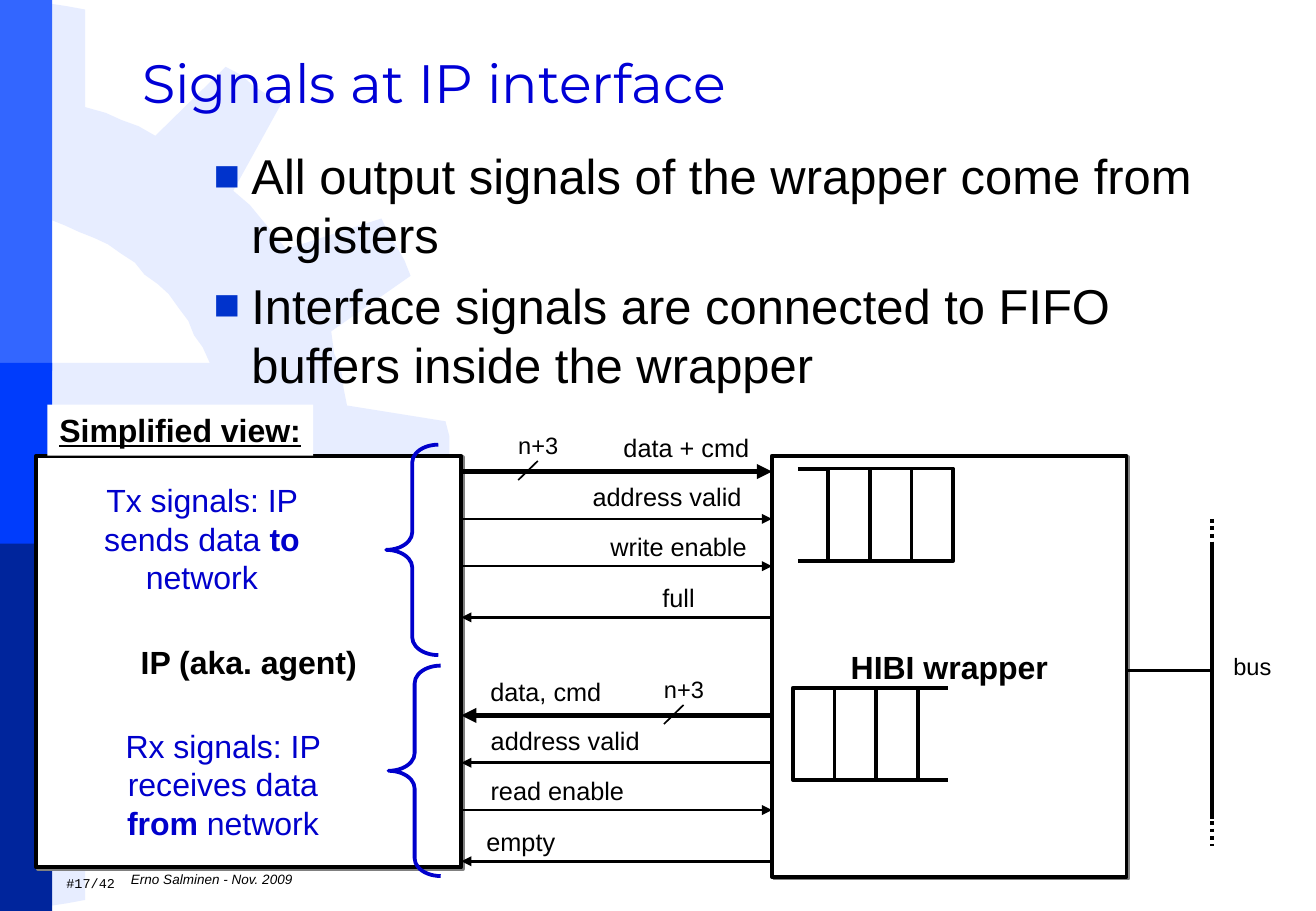
"""Builds the slide on the signals between an IP block and its bus wrapper."""
from lxml import etree
from pptx import Presentation
from pptx.dml.color import RGBColor
from pptx.enum import dml, shapes, text
from pptx.oxml import ns
from pptx.util import Cm, Pt

BLACK, WHITE, BLUE = "000000", "FFFFFF", "0000CC"
GEAR_HALF = [
    (9.4, 9.47), (9.4, 9.12), (9.32, 8.81), (7.26, 8.48), (7.19, 8.13), (7.14, 7.75),
    (6.99, 7.39), (6.93, 6.93), (8.59, 5.77), (8.46, 5.44), (8.31, 5.18), (8.13, 4.88),
    (7.98, 4.57), (5.99, 5.21), (5.72, 4.88), (5.46, 4.57), (5.23, 4.29), (4.88, 3.99),
    (5.89, 2.16), (5.56, 1.96), (5.28, 1.78), (5.05, 1.57), (4.72, 1.4), (3.25, 2.84),
    (2.9, 2.64), (2.54, 2.51), (2.21, 2.36), (1.78, 2.24), (1.78, 0.2), (1.4, 0.13),
    (1.07, 0.08), (0.74, 0.03), (0.36, 0), (0.36, 4.47), (0.71, 4.57), (1.07, 4.6),
    (1.37, 4.72), (1.65, 4.85), (1.98, 4.98), (2.26, 5.11), (2.54, 5.31), (2.82, 5.49),
    (3.02, 5.74), (3.3, 5.94), (3.53, 6.15), (3.73, 6.43), (3.94, 6.71), (4.06, 7.01),
    (4.24, 7.26), (4.39, 7.59), (0, 7.59),
]
SIGNAL_ROWS = [(0, 0.94), (0.99, 0.91), (1.98, 0.86), (3.05, 0.86)]
TX_SIGNALS = [("data + cmd", 2.95, 3.52, True), ("address valid", 2.29, 4.03, True),
              ("write enable", 2.67, 3.75, True), ("full", 3.76, 1.57, False)]
RX_SIGNALS = [("data, cmd", 0.16, 3.22, False), ("address valid", 0.16, 4.03, False),
              ("read enable", 0.16, 3.7, True), ("empty", 0.08, 2.33, False)]


def rgb(value):
    """Turns a hex string into a colour."""
    return RGBColor.from_string(value)


def sub(parent, tag, **attributes):
    """Adds a DrawingML child element."""
    return etree.SubElement(parent, ns.qn(tag), attributes)


def write(frame, *paragraphs, size=15, color=BLACK, font="Arial", bold=False, italic=False,
          underline=False, align=text.PP_ALIGN.CENTER, anchor=text.MSO_ANCHOR.TOP,
          wrap=False, gap=0, bullet=None):
    """Fills a text frame; words between asterisks become bold."""
    frame.word_wrap = wrap
    frame.vertical_anchor = anchor
    for index, content in enumerate(paragraphs):
        paragraph = frame.add_paragraph() if index else frame.paragraphs[0]
        paragraph.alignment = align
        if index and gap:
            paragraph.space_before = Pt(gap)
        if bullet:
            properties = paragraph._p.get_or_add_pPr()
            properties.set("marL", str(Cm(0.79)))
            properties.set("indent", str(-Cm(0.79)))
            sub(sub(properties, "a:buClr"), "a:srgbClr", val="0033CC")
            sub(properties, "a:buSzPct", val="90000")
            sub(properties, "a:buFont", typeface=font)
            sub(properties, "a:buChar", char=bullet)
        for order, part in enumerate(content.split("*")):
            run = paragraph.add_run()
            run.text = part
            run.font.name, run.font.size = font, Pt(size)
            run.font.bold = bold or order % 2 == 1
            run.font.italic, run.font.underline = italic, underline
            run.font.color.rgb = rgb(color)


def label(slide, box, *paragraphs, wrap=False, **style):
    """Adds a text box, which grows with its text unless it wraps."""
    frame = slide.shapes.add_textbox(*map(Cm, box)).text_frame
    write(frame, *paragraphs, wrap=wrap, **style)
    if not wrap:
        frame.auto_size = text.MSO_AUTO_SIZE.SHAPE_TO_FIT_TEXT


def paint(shape, fill=None, line=None, width=2.25):
    """Sets fill and outline and removes the shadow."""
    shape.shadow.inherit = False
    if fill:
        shape.fill.solid()
        shape.fill.fore_color.rgb = rgb(fill)
    else:
        shape.fill.background()
    if line:
        shape.line.color.rgb = rgb(line)
        shape.line.width = Pt(width)
    else:
        shape.line.fill.background()
    return shape


def rectangle(slide, box, fill=WHITE, line=None):
    """Adds a rectangle."""
    return paint(slide.shapes.add_shape(shapes.MSO_SHAPE.RECTANGLE, *map(Cm, box)), fill, line)


def wire(slide, start, end, width=2.25, arrow=False, dash=None):
    """Adds a straight line, with an arrowhead at its end if asked for."""
    line = slide.shapes.add_connector(shapes.MSO_CONNECTOR.STRAIGHT, *map(Cm, (*start, *end)))
    line.line.color.rgb = rgb(BLACK)
    line.line.width = Pt(width)
    if dash:
        line.line.dash_style = dash
    properties = line._element.spPr
    if arrow:
        sub(properties.find(ns.qn("a:ln")), "a:tailEnd", type="triangle")
    sub(properties, "a:effectLst")


def backdrop(slide, height):
    """Draws the gear and the blue side bar."""
    mirrored = [(x, height - y) for x, y in reversed(GEAR_HALF)]
    outline = [(Cm(x), Cm(y)) for x, y in GEAR_HALF + mirrored]
    gear = slide.shapes.build_freeform(*outline[0])
    gear.add_line_segments(outline[1:])
    paint(gear.convert_to_shape(), "E7EDFF")
    for top, bar_height, shade in ((0, 7.75, "3366FF"), (11.33, 7.72, "00259C"),
                                   (7.59, 3.78, "003CFC")):
        rectangle(slide, (0, top, 1.09, bar_height), shade)


def heading(slide, box, content):
    """Places the title above the backdrop."""
    title = slide.shapes.title
    slide.shapes.element.append(title.element)
    title.left, title.top, title.width, title.height = map(Cm, box)
    write(title.text_frame, content, size=32, color="0000D6", font="Montserrat", wrap=True,
          align=text.PP_ALIGN.LEFT, anchor=text.MSO_ANCHOR.MIDDLE)


def block(slide, box, name):
    """Draws a named block with a small grey shadow."""
    body = rectangle(slide, box, line=BLACK)
    effects = body._element.spPr.find(ns.qn("a:effectLst"))
    shadow = sub(effects, "a:outerShdw", dist=str(Pt(1.4)), dir="2700000")
    sub(shadow, "a:srgbClr", val="808080")
    write(body.text_frame, name, size=19, bold=True, anchor=text.MSO_ANCHOR.MIDDLE)


def signal_group(slide, box, signals, slash):
    """Draws four labelled signal arrows, the first one a wide bus."""
    left, top, width = box
    for row, ((offset, lift), (name, indent, name_width, outward)) in enumerate(
            zip(SIGNAL_ROWS, signals)):
        y = top + offset
        ends = [(left, y), (left + width, y)]
        start, end = ends if outward else reversed(ends)
        wire(slide, start, end, 1.5 if row else 3, arrow=True)
        label(slide, (left + indent, y - lift, name_width, 0.89), name)
    x = left + slash
    wire(slide, (x + 0.41, top - 0.22), (x, top + 0.18), 1)
    label(slide, (x - 0.25, top - 0.97, 1.35, 0.86), "n+3", size=14,
          align=text.PP_ALIGN.LEFT)


def direction(slide, box, brace_left, brace_top, content):
    """Explains one group of signals beside its brace."""
    brace = paint(slide.shapes.add_shape(
        shapes.MSO_SHAPE.LEFT_BRACE, Cm(brace_left), Cm(brace_top), Cm(1.09), Cm(4.4)), line=BLUE)
    brace.adjustments[0] = 0.34
    label(slide, box, content, size=19, color=BLUE, wrap=True)


def fifo(slide, left, top, rails_first):
    """Draws a three-cell buffer with two open rails on one side."""
    cell, height, rail = 0.87, 1.93, 0.64
    cells_left = left + rail if rails_first else left
    rail_left = left if rails_first else left + 3 * cell
    for index in range(3):
        rectangle(slide, (cells_left + index * cell, top, cell, height), line=BLACK)
    for y in (top, top + height):
        wire(slide, (rail_left, y), (rail_left + rail, y))


def bus(slide, left, top):
    """Draws the bus and its link to the wrapper."""
    x = left + 1.78
    wire(slide, (x, top - 3.17), (x, top + 3.68), dash=dml.MSO_LINE.ROUND_DOT)
    wire(slide, (left, top), (x, top))
    wire(slide, (x, top - 2.69), (x, top + 3.1))
    label(slide, (x + 0.2, top - 0.51, 1.3, 0.86), "bus", size=14, align=text.PP_ALIGN.LEFT)


def footer(slide, top):
    """Writes the page number and the author line."""
    label(slide, (0.85, top + 0.08, 2.1, 0.66), "#17/42", size=8, font="Courier New",
          anchor=text.MSO_ANCHOR.MIDDLE)
    label(slide, (2.49, top, 23.85, 0.66), "Erno Salminen - Nov. 2009", size=8, italic=True,
          wrap=True, align=text.PP_ALIGN.LEFT, anchor=text.MSO_ANCHOR.MIDDLE)


def main():
    """Builds and saves the slide."""
    deck = Presentation()
    deck.slide_width, deck.slide_height = Cm(27.53), Cm(19.05)
    slide = deck.slides.add_slide(deck.slide_layouts[5])
    backdrop(slide, 19.02)
    heading(slide, (2.72, 0.91, 24.05, 1.6), "Signals at IP interface")
    label(slide, (4.22, 2.92, 22.1, 5.54),
          "All output signals of the wrapper come from registers",
          "Interface signals are connected to FIFO buffers inside the wrapper",
          size=29, wrap=True, align=text.PP_ALIGN.LEFT, gap=7.3, bullet="■")
    block(slide, (0.76, 9.53, 8.89, 8.61), "IP (aka. agent)")
    block(slide, (16.15, 9.53, 7.42, 8.81), "HIBI wrapper")
    signal_group(slide, (9.65, 9.86, 6.5), TX_SIGNALS, 1.19)
    signal_group(slide, (9.65, 14.96, 6.5), RX_SIGNALS, 4.24)
    caption = rectangle(slide, (0.99, 8.46, 5.56, 1.07))
    write(caption.text_frame, "Simplified view:", size=19, bold=True, underline=True)
    direction(slide, (1.19, 9.93, 6.07, 2.67), 8.08, 9.3, "Tx signals: IP sends data *to* network")
    direction(slide, (1.63, 15.06, 6.07, 2.67), 8.13, 13.92,
              "Rx signals: IP receives data *from* network")
    fifo(slide, 16.69, 9.8, rails_first=True)
    fifo(slide, 16.59, 14.38, rails_first=False)
    bus(slide, 23.57, 14.02)
    footer(slide, 18.06)
    deck.save("out.pptx")


if __name__ == "__main__":
    main()
